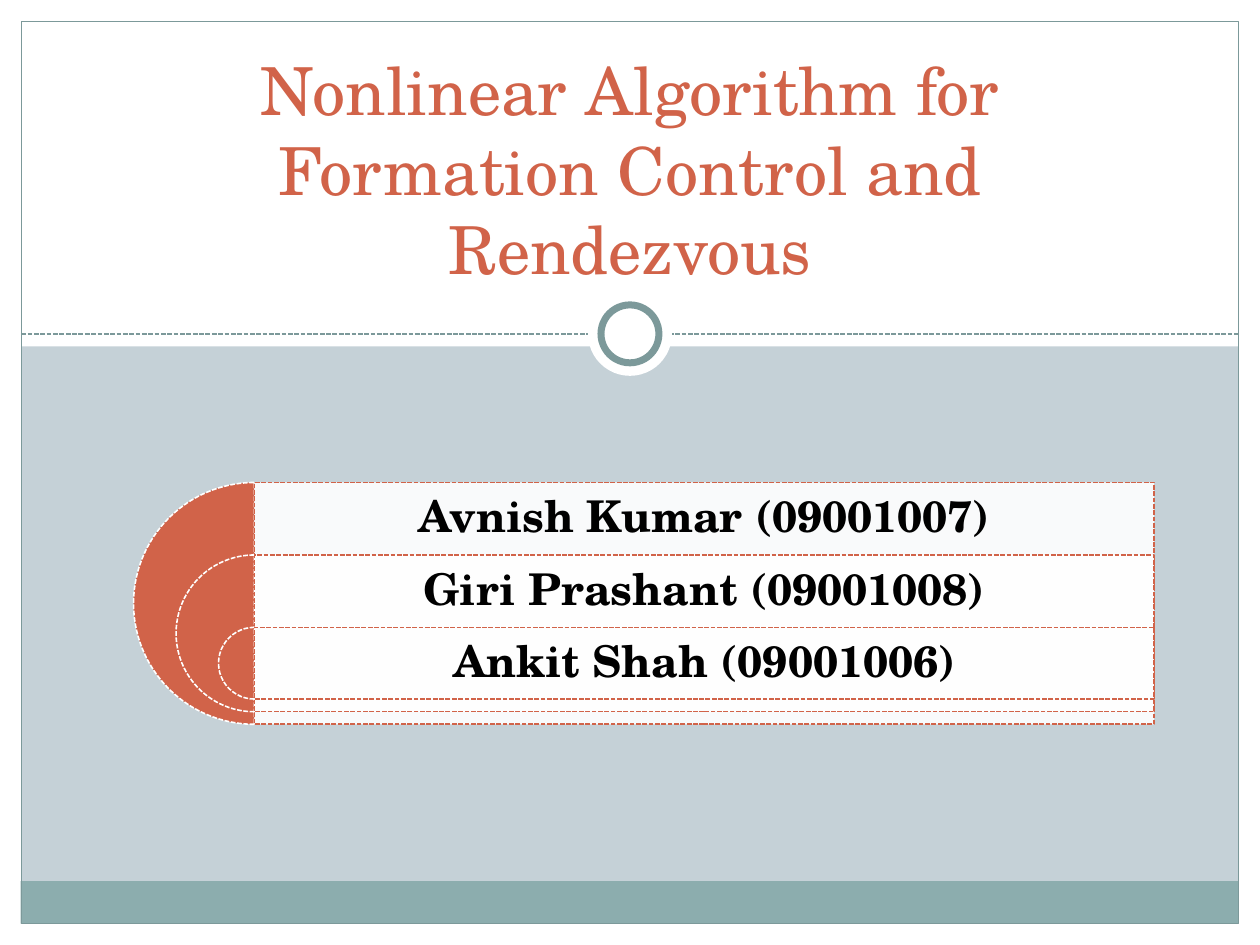
"""Build the title slide with its nested half-circle list of authors."""
from lxml.etree import SubElement
from pptx import Presentation
from pptx.dml.color import RGBColor
from pptx.enum.dml import MSO_LINE
from pptx.enum.shapes import MSO_CONNECTOR, MSO_SHAPE
from pptx.enum.text import MSO_ANCHOR, PP_ALIGN
from pptx.oxml.ns import qn
from pptx.util import Pt

TITLE = "Nonlinear Algorithm for Formation Control and Rendezvous"
AUTHORS = ["Avnish Kumar (09001007)", "Giri Prashant (09001008)", "Ankit Shah (09001006)"]
FONT = "TeX Gyre Schola"
COLORS = {"back": "C5D1D7", "white": "FFFFFF", "band": "8CADAE",
          "rule": "7C999A", "accent": "D16349", "text": "000000"}
WIDTH, HEIGHT, MARGIN = 720, 540, 12.2
RULE_TOP = 190.8
PANELS = [
    ((0, HEIGHT - MARGIN, WIDTH, MARGIN), "white"),
    ((WIDTH - MARGIN, 0, MARGIN, HEIGHT), "white"),
    ((0, 0, MARGIN, HEIGHT), "white"),
    ((0, 0, WIDTH, 198), "white"),
    ((11.8, 503.5, 695.6, 24.3), "band"),
]
LIST_LEFT, LIST_TOP, LIST_WIDTH = 145.4, 275.7, 514.1
ROW_STEP, DIAMETER, DIAMETER_STEP = 41.4, 138.2, 48.6


def color(name):
    return RGBColor.from_string(COLORS[name])


def style_line(line, name, width, dashed=False):
    line.color.rgb = color(name)
    line.width = Pt(width)
    if dashed:
        line.dash_style = MSO_LINE.SQUARE_DOT


def add_shape(kind, bounds, fill=None, outline=None, alpha=None):
    shape = page.shapes.add_shape(kind, *map(Pt, bounds))
    shape.shadow.inherit = False
    if fill:
        shape.fill.solid()
        shape.fill.fore_color.rgb = color(fill)
    else:
        shape.fill.background()
    if alpha:
        tint = shape.fill._xPr.find(".//" + qn("a:srgbClr"))
        SubElement(tint, qn("a:alpha")).set("val", str(alpha * 1000))
    if outline:
        style_line(shape.line, *outline)
    else:
        shape.line.fill.background()
    return shape


def add_text(bounds, text, size, name, anchor, bold=False, spacing=None):
    box = page.shapes.add_textbox(*map(Pt, bounds))
    frame = box.text_frame
    frame.word_wrap = True
    frame.vertical_anchor = anchor
    para = frame.paragraphs[0]
    para.alignment = PP_ALIGN.CENTER
    para.line_spacing = spacing
    span = para.add_run()
    span.text = text
    span.font.name = FONT
    span.font.size = Pt(size)
    span.font.bold = bold
    span.font.color.rgb = color(name)


deck = Presentation()
deck.slide_width, deck.slide_height = Pt(WIDTH), Pt(HEIGHT)
page = deck.slides.add_slide(deck.slide_layouts[6])
page.background.fill.solid()
page.background.fill.fore_color.rgb = color("back")

for bounds, fill in PANELS:
    add_shape(MSO_SHAPE.RECTANGLE, bounds, fill)

rule = page.shapes.add_connector(
    MSO_CONNECTOR.STRAIGHT, Pt(MARGIN), Pt(RULE_TOP), Pt(WIDTH - MARGIN), Pt(RULE_TOP))
style_line(rule.line, "rule", 0.9, True)
SubElement(rule._element.spPr, qn("a:effectLst"))

add_shape(MSO_SHAPE.RECTANGLE,
          (MARGIN, MARGIN, WIDTH - 2 * MARGIN, HEIGHT - 2 * MARGIN), None, ("rule", 0.75))
for size, outline in [(48, None), (33.1, ("rule", 4))]:
    add_shape(MSO_SHAPE.OVAL, ((WIDTH - size) / 2, RULE_TOP - size / 2, size, size),
              "white", outline)

for index, author in enumerate(AUTHORS):
    top = LIST_TOP + index * ROW_STEP
    size = DIAMETER - index * DIAMETER_STEP
    half = add_shape(MSO_SHAPE.PIE, (LIST_LEFT - size / 2, top, size, size),
                     "accent", ("white", 0.9, True))
    half.adjustments[0], half.adjustments[1] = 54, 162
    add_shape(MSO_SHAPE.RECTANGLE, (LIST_LEFT, top, LIST_WIDTH, size),
              "white", ("accent", 0.9, True), 90)
    add_text((LIST_LEFT, top, LIST_WIDTH, ROW_STEP), author, 25, "text",
             MSO_ANCHOR.MIDDLE, True, 0.9)

add_text((54, 30, 612, 138), TITLE, 37.8, "accent", MSO_ANCHOR.BOTTOM)

deck.save("out.pptx")
